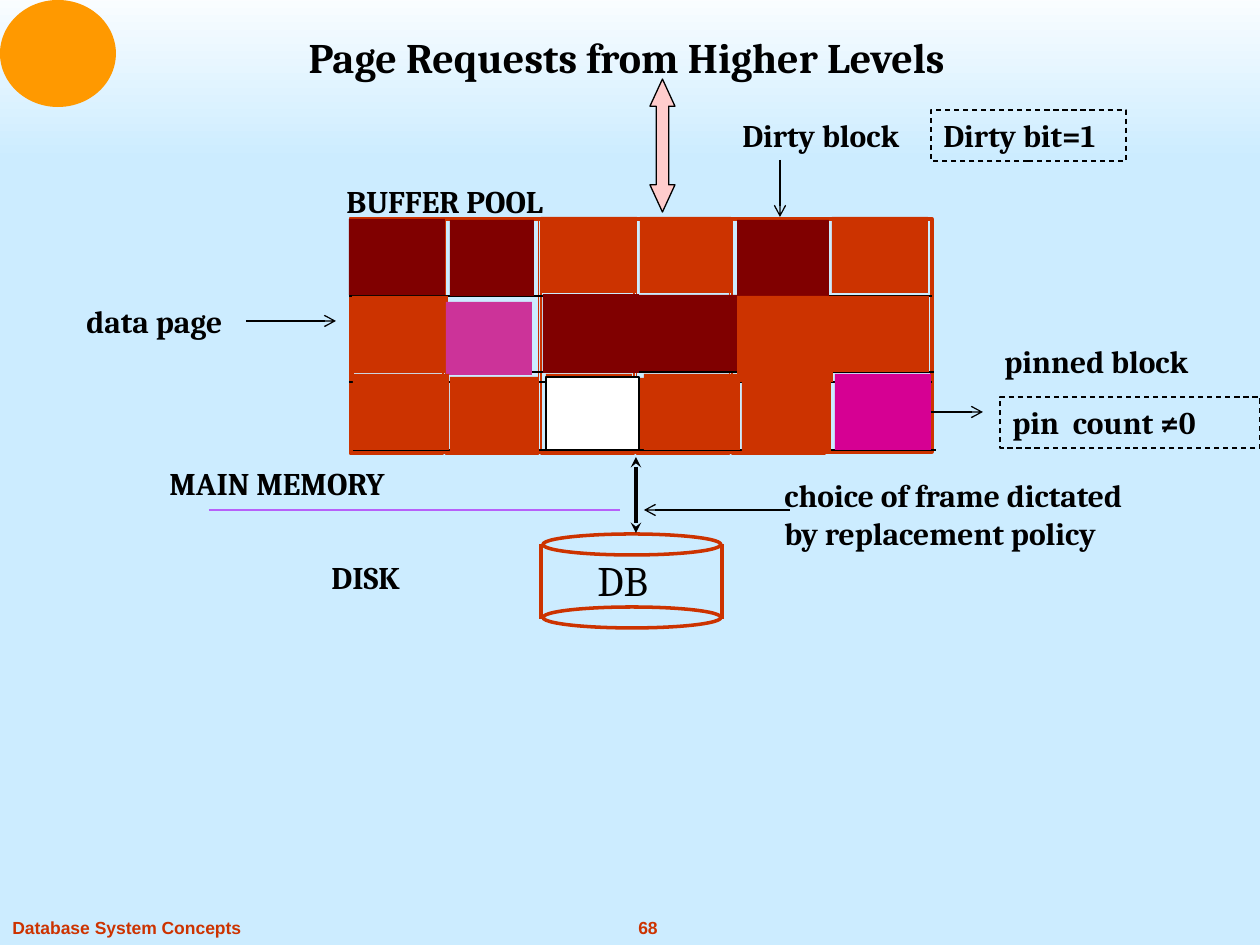
from lxml import etree
from pptx import Presentation
from pptx.dml.color import RGBColor
from pptx.enum.dml import MSO_LINE
from pptx.enum.shapes import MSO_CONNECTOR, MSO_SHAPE
from pptx.enum.text import MSO_ANCHOR, PP_ALIGN
from pptx.oxml.ns import qn
from pptx.util import Pt

PX = 914400 // 126
RECTANGLE, OVAL = MSO_SHAPE.RECTANGLE, MSO_SHAPE.OVAL
UP_DOWN_ARROW = MSO_SHAPE.UP_DOWN_ARROW
STRAIGHT = MSO_CONNECTOR.STRAIGHT
DASH = MSO_LINE.DASH
LEFT, CENTER = PP_ALIGN.LEFT, PP_ALIGN.CENTER
TOP = MSO_ANCHOR.TOP

COLORS = {
    "sky": "CCECFF", "white": "FFFFFF", "black": "000000",
    "orange": "FF9900", "rust": "CC3300", "maroon": "800000",
    "pink": "CC3399", "magenta": "D60093", "blush": "FFCCCC",
    "violet": "B760F9",
}

TITLE = ("Page Requests from Higher Levels", (296, 25, 748, 63))
FOOTERS = [
    ("68", (593, 911, 110, 34), CENTER),
    ("Database System Concepts", (0, 911, 265, 34), LEFT),
]
LABELS = [
    (["MAIN MEMORY"], (157, 458, 275, 51)),
    (["DISK"], (319, 552, 108, 51)),
    (["data page"], (74, 296, 179, 51)),
    (["BUFFER POOL"], (334, 176, 251, 51)),
    (["choice of frame dictated", "by replacement policy"], (772, 470, 413, 88)),
    (["Dirty block"], (730, 110, 204, 51)),
    (["pinned block"], (992, 336, 233, 51)),
]
DASHED_LABELS = [
    (["pin  count ≠0"], (1000, 397, 260, 51)),
    (["Dirty bit=1"], (931, 110, 195, 51)),
]

REQUEST_ARROW = (650, 79, 25, 133)
REQUEST_ARROW_GUIDES = {"adj1": 50000, "adj2": 108600}
COLUMN_COUNT, COLUMN_STEP = 5, 95.5
FIRST_COLUMN = (350, 218, 93, 236)
GRID_LAYERS = [
    ([(349, 296, 932, 296), (349, 382, 932, 382)],
     [("maroon", 349, 219, 96, 76), ("rust", 541, 217, 96, 76),
      ("rust", 636, 378, 96, 76), ("maroon", 450, 220, 84, 76),
      ("rust", 640, 217, 91, 76), ("rust", 832, 217, 96, 76),
      ("maroon", 737, 220, 92, 76)]),
    ([(352, 372, 934, 372)],
     [("rust", 352, 296, 96, 77), ("maroon", 543, 294, 96, 79),
      ("pink", 446, 302, 86, 73), ("maroon", 634, 295, 103, 76),
      ("rust", 833, 296, 96, 76), ("rust", 737, 296, 96, 86)]),
    ([(353, 450, 936, 450)],
     [("rust", 353, 374, 96, 76), ("rust", 546, 374, 86, 76),
      ("rust", 450, 377, 89, 76), ("rust", 644, 374, 96, 76),
      ("magenta", 835, 374, 96, 76), ("rust", 742, 378, 89, 76)]),
]
FREE_FRAME = (546, 377, 93, 73)
CALLOUT_ARROWS = [
    (790, 510, 644, 510), (246, 321, 336, 321),
    (780, 160, 780, 217), (931, 412, 983, 412),
]

presentation = Presentation()
presentation.slide_width, presentation.slide_height = 1260 * PX, 945 * PX
slide = presentation.slides.add_slide(presentation.slide_layouts[5])


def color(name):
    return RGBColor.from_string(COLORS[name])


def emu(box):
    return [round(length * PX) for length in box]


def set_line(line, name, width):
    line.color.rgb = color(name)
    line.width = Pt(width)


def add_shape(parent, kind, box, fill=None, line=None, width=0.75):
    shape = parent.shapes.add_shape(kind, *emu(box))
    shape.shadow.inherit = False
    if fill:
        shape.fill.solid()
        shape.fill.fore_color.rgb = color(fill)
    else:
        shape.fill.background()
    if line:
        set_line(shape.line, line, width)
    else:
        shape.line.fill.background()
    return shape


def add_line(parent, ends, name="black", width=1, head=None, tail=None):
    connector = parent.shapes.add_connector(STRAIGHT, *emu(ends))
    set_line(connector.line, name, width)
    outline = connector.line._get_or_add_ln()
    for tag, arrow in (("a:headEnd", head), ("a:tailEnd", tail)):
        if arrow:
            etree.SubElement(outline, qn(tag), type=arrow)
    etree.SubElement(connector.element.spPr, qn("a:effectLst"))


def write(shape, lines, size=18, bold=True, font="Cambria", name="black", align=LEFT):
    frame = shape.text_frame
    frame.word_wrap = True
    frame.vertical_anchor = TOP
    frame.text = "\n".join(lines)
    for paragraph in frame.paragraphs:
        paragraph.alignment = align
        paragraph.font.name = font
        paragraph.font.size = Pt(size)
        paragraph.font.bold = bold
        paragraph.font.color.rgb = color(name)


def add_text(parent, lines, box, **style):
    write(parent.shapes.add_textbox(*emu(box)), lines, **style)


def add_backdrop():
    slide.background.fill.solid()
    slide.background.fill.fore_color.rgb = color("sky")
    header = add_shape(slide, RECTANGLE, (0, -21, 1260, 181))
    header.fill.gradient()
    header.fill.gradient_angle = 270
    for position, name in enumerate(("white", "sky")):
        stop = header.fill.gradient_stops[position]
        stop.color.rgb = color(name)
        stop.position = position
    add_shape(slide, OVAL, (0, 0, 116, 107), "orange")
    for text, box, align in FOOTERS:
        add_text(slide, [text], box, size=10, font="Arial", name="rust", align=align)


def add_title():
    text, box = TITLE
    title = slide.shapes.title
    title.left, title.top, title.width, title.height = emu(box)
    write(title, [text], size=24)
    title.element.getparent().append(title.element)


def add_request_arrow():
    arrow = add_shape(slide, UP_DOWN_ARROW, REQUEST_ARROW, "blush", "black")
    guides = arrow.element.spPr.find(".//" + qn("a:avLst"))
    for guide in list(guides):
        guides.remove(guide)
    for name, value in REQUEST_ARROW_GUIDES.items():
        etree.SubElement(guides, qn("a:gd"), name=name, fmla=f"val {value}")


def add_buffer_pool():
    add_shape(slide, RECTANGLE, (352, 219, 580, 233), line="rust", width=2)
    left, top, width, height = FIRST_COLUMN
    for column in range(COLUMN_COUNT):
        box = (left + column * COLUMN_STEP, top, width, height)
        add_shape(slide, RECTANGLE, box, line="rust", width=1)
    for rules, blocks in GRID_LAYERS:
        for ends in rules:
            add_line(slide, ends)
        for name, *box in blocks:
            add_shape(slide, RECTANGLE, box, name)
    add_shape(slide, RECTANGLE, FREE_FRAME, "white", "black")


def add_disk():
    disk = slide.shapes.add_group_shape()
    for top in (534, 607):
        add_shape(disk, OVAL, (543, top, 178, 21), line="rust", width=2)
    for x in (541, 722):
        add_line(disk, (x, 544, x, 619), "rust", 2)
    add_text(disk, ["DB"], (585, 548, 88, 63), size=24, bold=False)
    add_line(slide, (209, 510, 620, 510), "violet")
    add_line(slide, (636, 457, 636, 533), width=2, head="stealth", tail="stealth")


def add_labels():
    for lines, box in LABELS:
        add_text(slide, lines, box)
    for lines, box in DASHED_LABELS:
        shape = add_shape(slide, RECTANGLE, box, line="black")
        shape.line.dash_style = DASH
        write(shape, lines)
    for ends in CALLOUT_ARROWS:
        add_line(slide, ends, width=0.75, tail="arrow")


add_backdrop()
add_title()
add_request_arrow()
add_buffer_pool()
add_disk()
add_labels()
presentation.save("out.pptx")
